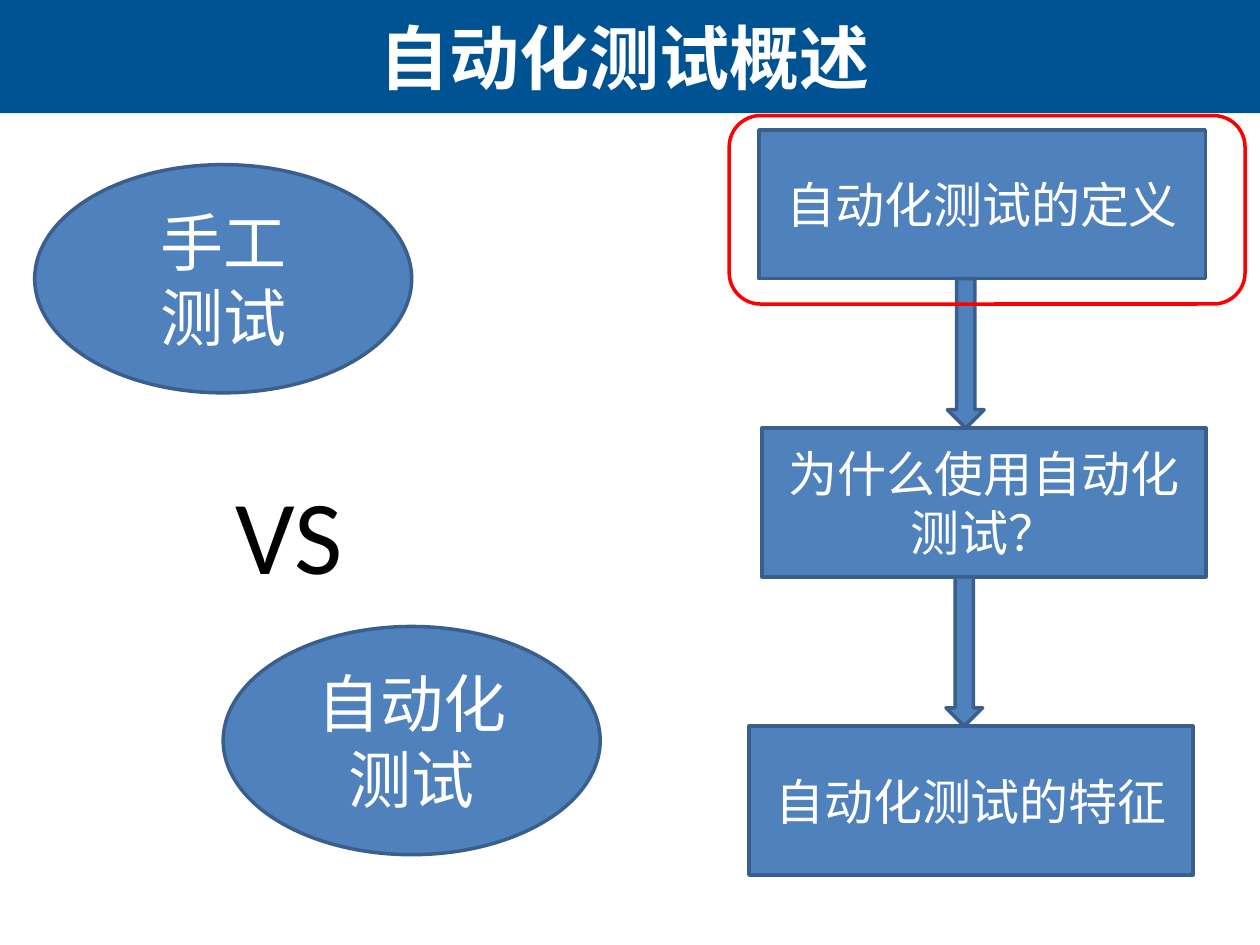
from dataclasses import dataclass
from typing import Optional

from pptx import Presentation
from pptx.dml.color import RGBColor
from pptx.enum.shapes import MSO_SHAPE as Preset
from pptx.enum.text import MSO_ANCHOR as Anchor, PP_ALIGN as Align
from pptx.util import Cm, Pt

NAVY = RGBColor(0x00, 0x53, 0x92)
BLUE = RGBColor(0x4F, 0x81, 0xBD)
EDGE = RGBColor(0x3A, 0x5F, 0x8C)
RED = RGBColor(0xFF, 0x00, 0x00)
WHITE = RGBColor(0xFF, 0xFF, 0xFF)
BLACK = RGBColor(0x00, 0x00, 0x00)

BODY = {"name": "Calibri", "size": Pt(28), "bold": False}
LARGE = BODY | {"size": Pt(36)}
HUGE = BODY | {"size": Pt(60)}
TITLE = {"name": "Arial", "size": Pt(40), "bold": True}

STEP_TOP, STEP_PITCH, STEP_HEIGHT = 2.62, 6.01, 3.0


@dataclass
class Block:
    """A preset shape, placed in centimetres."""
    preset: Preset
    left: float
    top: float
    width: float
    height: float
    lines: tuple[str, ...] = ()
    font: Optional[dict] = None
    fill: Optional[RGBColor] = BLUE
    edge: Optional[RGBColor] = EDGE


def write(frame, lines: tuple[str, ...], font: dict, color: RGBColor,
          align: Align = Align.CENTER, anchor: Anchor = Anchor.MIDDLE) -> None:
    """Fill a text frame with one paragraph per line."""
    frame.word_wrap = True
    frame.vertical_anchor = anchor
    for index, line in enumerate(lines):
        paragraph = frame.add_paragraph() if index else frame.paragraphs[0]
        paragraph.alignment = align
        run = paragraph.add_run()
        run.text = line
        for key, value in font.items():
            setattr(run.font, key, value)
        run.font.color.rgb = color


def draw(slide, block: Block) -> None:
    """Draw one block with its fill, edge and text."""
    shape = slide.shapes.add_shape(
        block.preset, Cm(block.left), Cm(block.top), Cm(block.width), Cm(block.height))
    shape.shadow.inherit = False
    if block.fill is None:
        shape.fill.background()
    else:
        shape.fill.solid()
        shape.fill.fore_color.rgb = block.fill
    if block.edge is None:
        shape.line.fill.background()
    else:
        shape.line.color.rgb = block.edge
        shape.line.width = Pt(2)
    if block.lines:
        write(shape.text_frame, block.lines, block.font, WHITE)


def step(index: int, left: float, width: float, text: str) -> Block:
    """Describe one box of the right-hand flow."""
    return Block(Preset.RECTANGLE, left, STEP_TOP + index * STEP_PITCH,
                 width, STEP_HEIGHT, (text,), BODY)


def arrow(index: int, left: float) -> Block:
    """Describe the arrow that fills the gap below a step."""
    return Block(Preset.DOWN_ARROW, left, STEP_TOP + index * STEP_PITCH + STEP_HEIGHT,
                 0.74, STEP_PITCH - STEP_HEIGHT)


def method(left: float, top: float, *lines: str) -> Block:
    """Describe one of the two compared testing methods."""
    return Block(Preset.OVAL, left, top, 7.6, 4.6, lines, LARGE)


presentation = Presentation()
presentation.slide_width, presentation.slide_height = Cm(25.4), Cm(19.05)
slide = presentation.slides.add_slide(presentation.slide_layouts[6])

draw(slide, Block(Preset.RECTANGLE, 0, 0, 25.4, 2.28, fill=NAVY, edge=None))
title = slide.shapes.add_textbox(Cm(0.05), Cm(0), Cm(25.07), Cm(2.28))
write(title.text_frame, ("自动化测试概述",), TITLE, WHITE)

for testing in (method(0.7, 3.32, "手工", "测试"), method(4.5, 12.63, "自动化测试")):
    draw(slide, testing)
versus = slide.shapes.add_textbox(Cm(4.5), Cm(9.35), Cm(5), Cm(2.82))
write(versus.text_frame, ("VS",), HUGE, BLACK, Align.LEFT, Anchor.TOP)

flow = (
    step(0, 15.3, 9.0, "自动化测试的定义"),
    step(1, 15.36, 8.95, "为什么使用自动化测试？"),
    step(2, 15.1, 8.95, "自动化测试的特征"),
    arrow(0, 19.1),
    arrow(1, 19.07),
)
for part in flow:
    draw(slide, part)

draw(slide, Block(Preset.ROUNDED_RECTANGLE, 14.7, 2.33, 10.4, 3.8, fill=None, edge=RED))

presentation.save("out.pptx")
